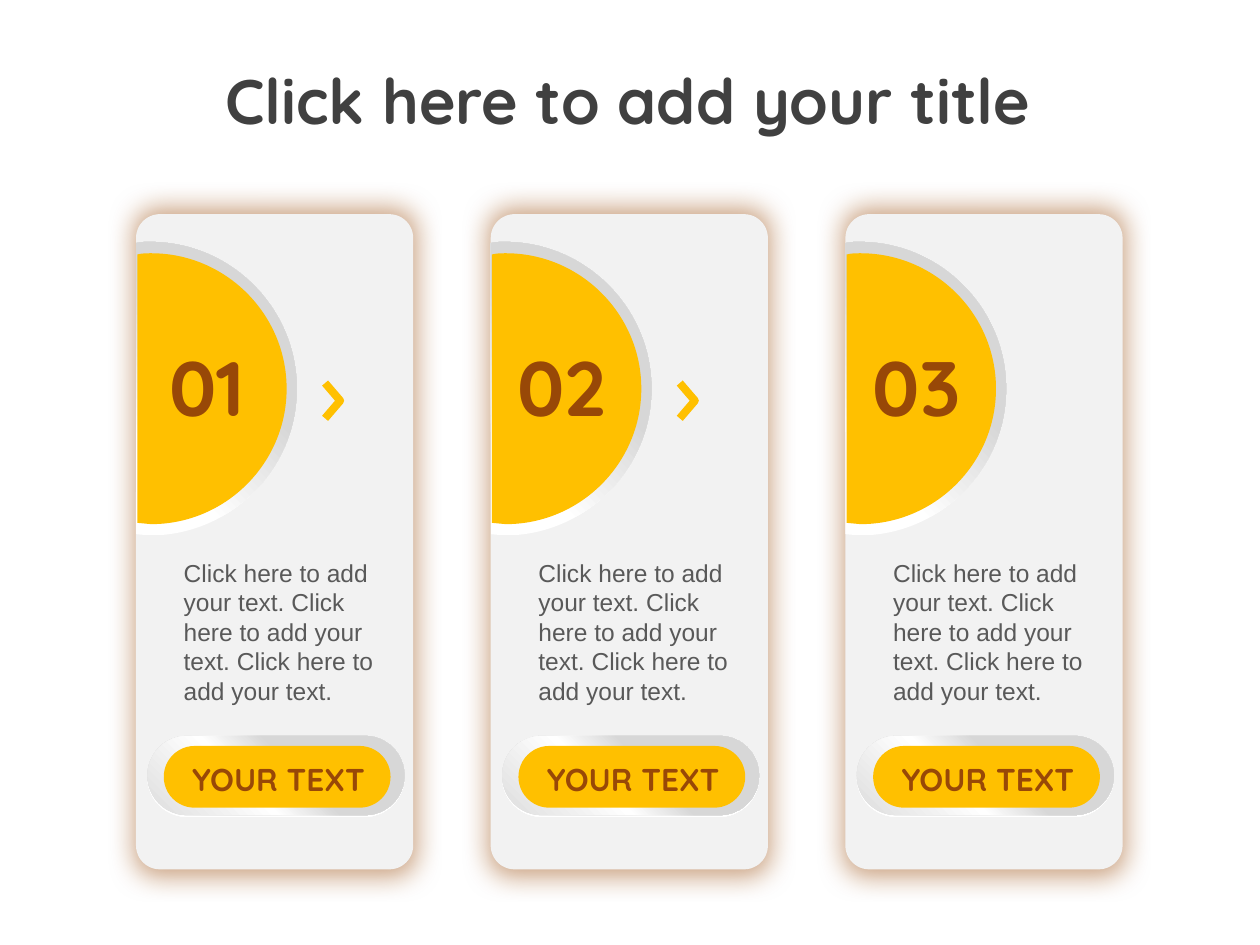
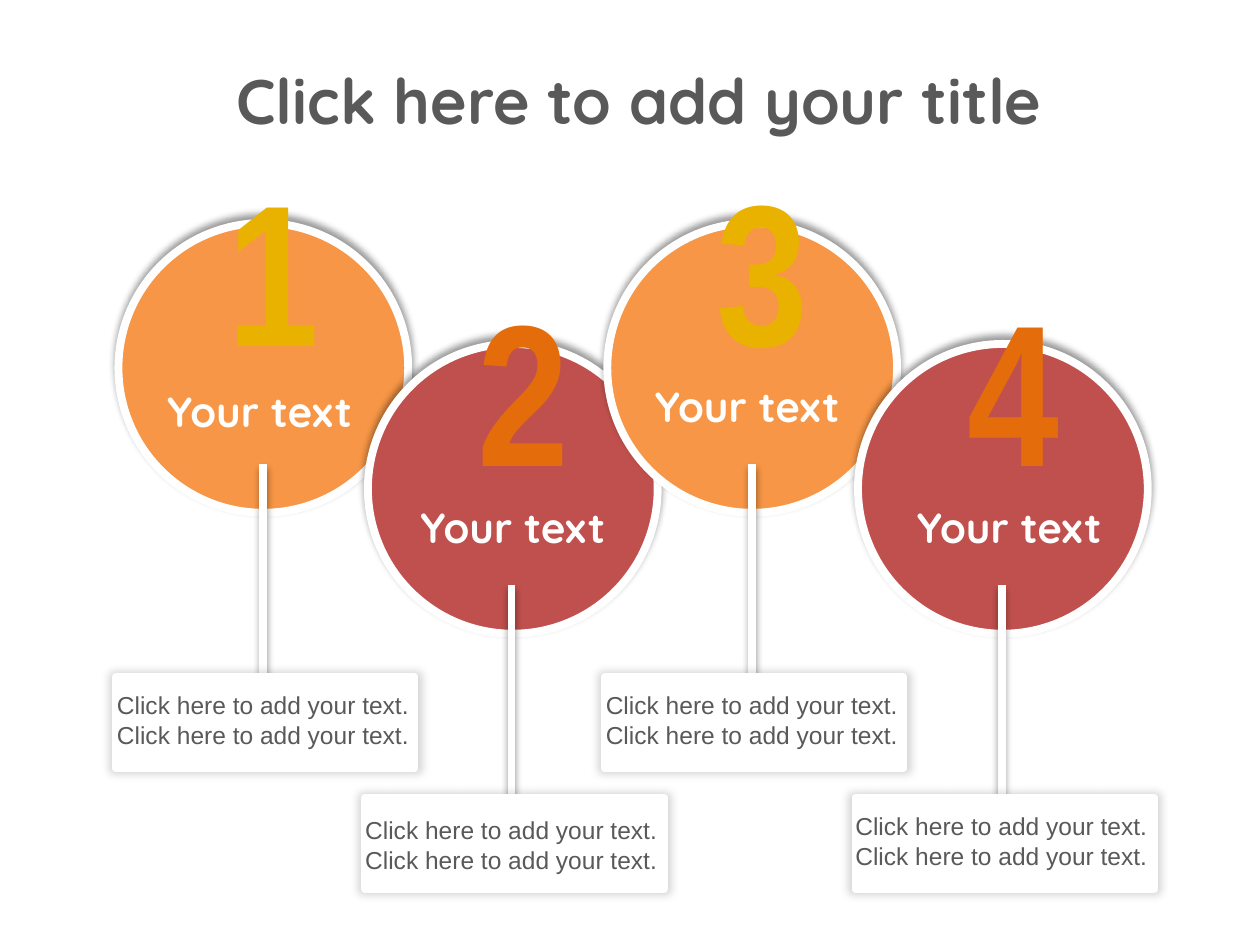
from lxml import etree
from pptx import Presentation, util as u
from pptx.dml.color import RGBColor
from pptx.enum import shapes as s, text as t
from pptx.oxml import parse_xml
from pptx.oxml.ns import qn, nsdecls

WHITE = RGBColor(0xFF, 0xFF, 0xFF)
BLACK = RGBColor(0, 0, 0)
PALE = RGBColor(0xF2, 0xF2, 0xF2)
SILVER = RGBColor(0xD7, 0xD7, 0xD7)
LIGHT = RGBColor(0xDD, 0xDD, 0xDD)
DARK = RGBColor(0x40, 0x40, 0x40)
GREY = RGBColor(0x59, 0x59, 0x59)
AMBER = RGBColor(0xFF, 0xC0, 0x00)
BROWN = RGBColor(0x98, 0x48, 0x07)
PEACH = RGBColor(0xF7, 0x96, 0x46)
BRICK = RGBColor(0xC0, 0x50, 0x4D)
GOLD = RGBColor(0xEA, 0xB2, 0x00)
RUST = RGBColor(0xE4, 0x6C, 0x0A)

HEAD = "Quicksand"
TITLE = "Click here to add your title"
LINE = "Click here to add your text."
STROKE = 4.5
IN = u.Inches


def write(slide, words, box, size=14, font="Arial", color=GREY, bold=False,
          align=None, gap=None, edge=None):
    """Add a wrapped text box; edge is the colour of the letters' outline."""
    area = slide.shapes.add_textbox(*map(IN, box))
    frame = area.text_frame
    frame.word_wrap = True
    frame.auto_size = t.MSO_AUTO_SIZE.SHAPE_TO_FIT_TEXT
    para = frame.paragraphs[0]
    para.alignment, para.line_spacing = align, gap
    run = para.add_run()
    run.text = words
    run.font.size, run.font.name, run.font.bold = u.Pt(size), font, bold
    run.font.color.rgb = color
    if edge is not None:
        run.font._element.insert(0, parse_xml(
            f'<a:ln {nsdecls("a")} w="{u.Pt(STROKE)}"><a:solidFill>'
            f'<a:srgbClr val="{edge}"/></a:solidFill></a:ln>'))


def dress(item, fill=None, line=None, glow=None):
    """Set fill (a colour or gradient stops), line colour and glow
    (shadow colour, opacity, blur, distance, angle)."""
    props = item.element.spPr
    if hasattr(item, "fill"):
        item.fill.background()
        if isinstance(fill, list):
            stops = "".join(f'<a:gs pos="{at * 1000}"><a:srgbClr val="{tone}"/></a:gs>'
                            for at, tone in fill)
            props.replace(props.find(qn("a:noFill")), parse_xml(
                f'<a:gradFill {nsdecls("a")} rotWithShape="1"><a:gsLst>{stops}</a:gsLst>'
                '<a:path path="circle"><a:fillToRect l="100000" b="100000"/></a:path>'
                '</a:gradFill>'))
        elif fill is not None:
            item.fill.solid()
            item.fill.fore_color.rgb = fill
    if line is None:
        item.line.fill.background()
    else:
        item.line.color.rgb = line
        item.line.width = u.Pt(STROKE)
    fx = etree.SubElement(props, qn("a:effectLst"))
    if glow:
        tone, alpha, blur, dist, turn = glow
        scale = 100000 if dist else 102000
        fx.append(parse_xml(
            f'<a:outerShdw {nsdecls("a")} blurRad="{u.Pt(blur)}" dist="{u.Pt(dist)}" '
            f'dir="{turn * 60000}" sx="{scale}" sy="{scale}" algn="ctr" rotWithShape="0">'
            f'<a:srgbClr val="{tone}"><a:alpha val="{alpha * 1000}"/></a:srgbClr>'
            '</a:outerShdw>'))


deck = Presentation()
deck.slide_width, deck.slide_height = IN(10), IN(7.5)
cards, discs = [deck.slides.add_slide(deck.slide_layouts[6]) for _ in range(2)]
MID = t.PP_ALIGN.CENTER
bold = dict(font=HEAD, bold=True, align=MID)
tight = dict(bold, gap=0.8)

# Slide 1: three cards, each with a cut disc, a note and a pill
RIM = [(42, SILVER), (79, WHITE)]
PILL = [(42, SILVER), (61, WHITE), (100, LIGHT)]
CUT = 0.11
for i in range(3):
    x = 1.08 + 2.815 * i
    plates = [
        ((x, 1.7, 2.2, 5.2), 0.086, PALE, (BROWN, 49, 15, 0, 0)),
        ((x + 0.09, 5.84, 2.04, 0.63), 0.5, PILL, (WHITE, 100, 0, 1, 90)),
        ((x + 0.22, 5.92, 1.8, 0.49), 0.5, AMBER, None),
    ]
    for n, (box, bend, fill, glow) in enumerate(plates):
        plate = cards.shapes.add_shape(s.MSO_SHAPE.ROUNDED_RECTANGLE, *map(IN, box))
        plate.adjustments[0] = bend
        dress(plate, fill, glow=glow)
        if n:
            continue

        # The cut disc and the chevron lie between the card and its pill
        for left, mid, rad, fill in ((x, 3.085, 1.165, RIM), (x + 0.01, 3.085, 1.075, AMBER)):
            hub, pull = left + CUT, 0.55 * rad
            top, foot, right = mid - rad, mid + rad, hub + rad
            knots = [(hub + pull, top), (right, mid - pull), (right, mid),
                     (right, mid + pull), (hub + pull, foot), (hub, foot),
                     (left, foot - 0.01), (left, top + 0.01),
                     (left + 0.04, top), (hub - 0.04, top), (hub, top)]
            pen = cards.shapes.build_freeform(IN(hub), IN(top))
            pen.add_line_segments([(IN(a), IN(b)) for a, b in knots])
            half = pen.convert_to_shape()
            steps = list(half.element.iter(qn("a:lnTo")))
            for k in (0, 3, 8):
                curve = etree.Element(qn("a:cubicBezTo"))
                steps[k].addprevious(curve)
                for step in steps[k:k + 3]:
                    curve.append(step[0])
                    step.getparent().remove(step)
            dress(half, fill)

        if i < 2:
            pen = cards.shapes.build_freeform(IN(x + 1.42), IN(3.24))
            pen.add_line_segments([(IN(x + 1.56), IN(3.12)), (IN(x + 1.7), IN(3.24))],
                                  close=False)
            arrow = pen.convert_to_shape()
            arrow.rotation = 90
            dress(arrow, line=AMBER)

    write(cards, f"0{i + 1}", (x + 0.09, 2.79, 0.95, 0.69), size=44, color=BROWN, **tight)
    write(cards, "YOUR TEXT", (x + 0.14, 6.04, 1.98, 0.34), size=18, color=BROWN, **tight)
    write(cards, " ".join([LINE] * 3), (x + 0.28, 4.38, 1.77, 1.28))

# Slide 2: four discs, high and low by turns, each on a stem from its note
spots = [  # disc left, stem x, label left and top, note left and top
    (0.94, 2.09, (1.12, 3.09), (0.83, 5.43)),
    (2.92, 4.06, (3.13, 4.01), (2.8, 6.42)),
    (4.82, 5.97, (4.99, 3.05), (4.71, 5.43)),
    (6.81, 7.95, (7.07, 4.01), (6.69, 6.39)),
]
for i, (x, stem, label, note) in enumerate(spots):
    low = i % 2
    drop = 0.96 * low
    disc = discs.shapes.add_shape(s.MSO_SHAPE.OVAL, IN(x), IN(1.77 + drop), IN(2.3), IN(2.3))
    dress(disc, BRICK if low else PEACH, WHITE, (BLACK, 40, 4, 3, 270))
    write(discs, str(i + 1), (x + 0.77, 1.47 + drop, 0.66, 1.65), size=115,
          color=RUST if low else GOLD, edge=WHITE, **dict(tight, font="Arial Narrow"))
    rod = discs.shapes.add_connector(s.MSO_CONNECTOR.STRAIGHT, IN(stem), IN(3.68 + drop),
                                     IN(stem), IN(5.46 + drop))
    dress(rod, line=WHITE, glow=(BLACK, 40, 4, 3, 90))
    card = discs.shapes.add_shape(s.MSO_SHAPE.RECTANGLE, IN(x - 0.02), IN(5.37 + drop),
                                  IN(2.37), IN(0.73))
    dress(card, WHITE, WHITE, (BLACK, 17, 5, 0, 0))
    write(discs, "Your text", (*label, 1.88, 0.42), size=24, color=WHITE, **tight)
    write(discs, f"{LINE} {LINE}", (*note, 2.8, 0.57))

for slide, left, wide, tone in ((cards, 1.38, 7.2, DARK), (discs, 1.6, 6.94, GREY)):
    write(slide, TITLE, (left, 0.44, wide, 0.71), size=36, color=tone, **bold)

deck.save("out.pptx")
